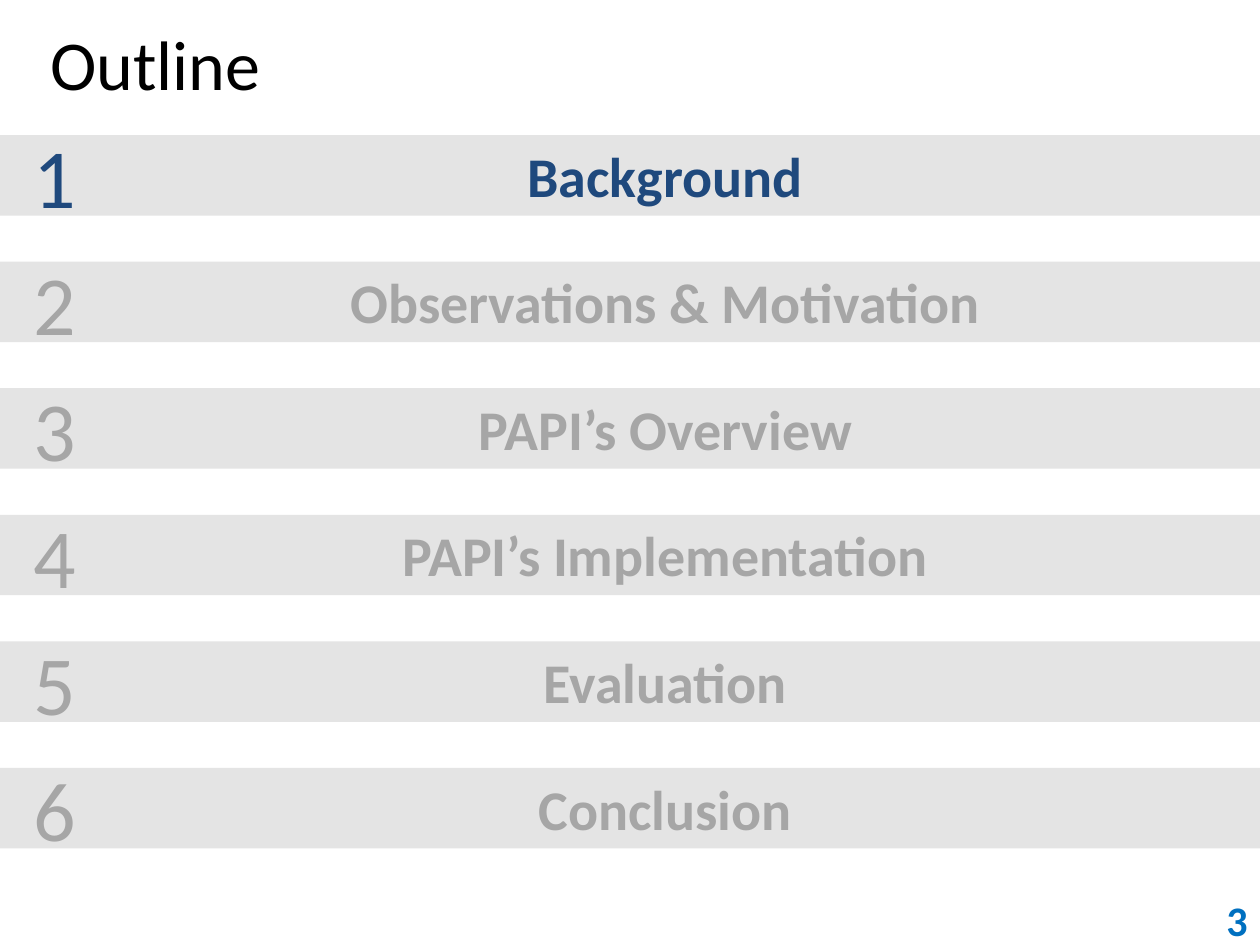
import dataclasses

import pptx
import pptx.dml.color
import pptx.enum.shapes
import pptx.enum.text
import pptx.util

Pt = pptx.util.Pt
Align = pptx.enum.text.PP_ALIGN
Anchor = pptx.enum.text.MSO_ANCHOR


@dataclasses.dataclass(frozen=True)
class Theme:
    font: str = "Calibri"
    title: str = "000000"
    band: str = "E4E4E4"
    active: str = "1F497D"
    muted: str = "A6A6A6"
    page_number: str = "0070C0"
    title_size: int = 40
    number_size: int = 48
    topic_size: int = 32
    page_number_size: int = 24


@dataclasses.dataclass(frozen=True)
class Box:
    left: float
    top: float
    width: float
    height: float

    def lengths(self):
        return [Pt(value) for value in dataclasses.astuple(self)]


THEME = Theme()
PAGE = Box(0, 0, 720, 540)
TOPICS = [
    "Background",
    "Observations & Motivation",
    "PAPI’s Overview",
    "PAPI’s Implementation",
    "Evaluation",
    "Conclusion",
]
ACTIVE_NUMBER = 1


def color(value):
    return pptx.dml.color.RGBColor.from_string(value)


def write(shape, text, size, ink, bold=False, align=Align.LEFT, anchor=Anchor.TOP):
    frame = shape.text_frame
    frame.text = text
    frame.word_wrap = True
    frame.vertical_anchor = anchor
    para = frame.paragraphs[0]
    para.alignment = align
    span = para.runs[0]
    span.font.name = THEME.font
    span.font.size = Pt(size)
    span.font.bold = bold
    span.font.color.rgb = color(ink)


def add_title(page, box, text):
    title = page.shapes.add_textbox(*box.lengths())
    title.text_frame.margin_left = Pt(28.8)
    write(title, text, THEME.title_size, THEME.title, anchor=Anchor.MIDDLE)


def add_topic(page, box, number, topic):
    ink = THEME.active if number == ACTIVE_NUMBER else THEME.muted
    band = page.shapes.add_shape(
        pptx.enum.shapes.MSO_SHAPE.RECTANGLE, *box.lengths()
    )
    band.shadow.inherit = False
    band.fill.solid()
    band.fill.fore_color.rgb = color(THEME.band)
    band.line.fill.background()
    band.text_frame.margin_left = Pt(47.5)
    write(band, topic, THEME.topic_size, ink, True, Align.CENTER)

    number_box = Box(box.left + 12, box.top - 9.4, 37.5, 65.5)
    label = page.shapes.add_textbox(*number_box.lengths())
    write(label, str(number), THEME.number_size, ink)


def add_outline(page, box, topics):
    band_height = 46
    pitch = (box.height - band_height) / (len(topics) - 1)
    for index, topic in enumerate(topics):
        band = Box(box.left, box.top + index * pitch, box.width, band_height)
        add_topic(page, band, index + 1, topic)


def add_page_number(page, box, number):
    label = page.shapes.add_textbox(*box.lengths())
    write(label, str(number), THEME.page_number_size, THEME.page_number,
          True, Align.RIGHT, Anchor.MIDDLE)


def main():
    deck = pptx.Presentation()
    deck.slide_width = Pt(PAGE.width)
    deck.slide_height = Pt(PAGE.height)
    page = deck.slides.add_slide(deck.slide_layouts[6])
    add_title(page, Box(0, 0, PAGE.width, 72), "Outline")
    add_outline(page, Box(0, 77.2, PAGE.width, 407.6), TOPICS)
    add_page_number(page, Box(576, 511.2, 144, 28.8), 3)
    deck.save("out.pptx")


if __name__ == "__main__":
    main()
